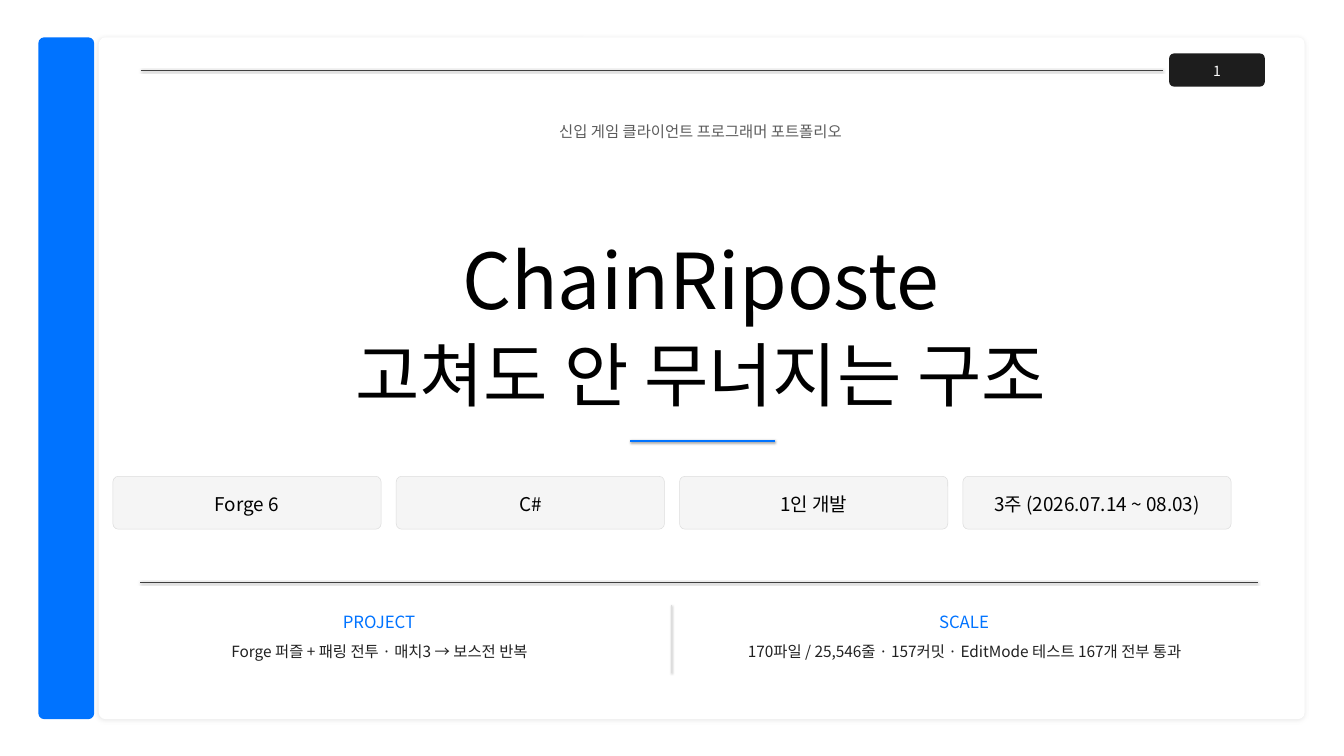
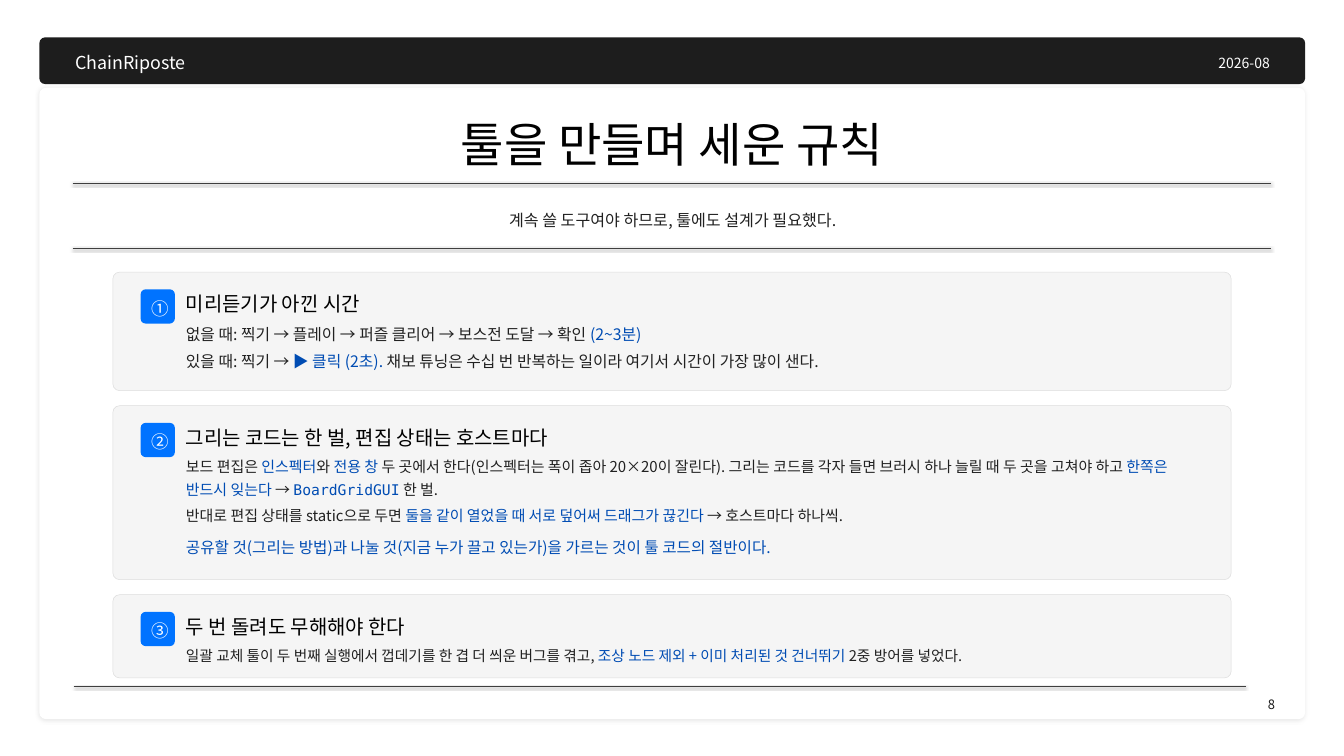
import pptx
import pptx.dml.color
import pptx.enum.shapes
import pptx.enum.text
import pptx.oxml
import pptx.oxml.ns
import pptx.util

RGBColor = pptx.dml.color.RGBColor
ALIGN = pptx.enum.text.PP_ALIGN
ANCHOR = pptx.enum.text.MSO_ANCHOR
WHITE = RGBColor(0xFF, 0xFF, 0xFF)
BLACK = RGBColor(0x00, 0x00, 0x00)
NIGHT = RGBColor(0x1D, 0x1D, 0x1D)
INK = RGBColor(0x21, 0x21, 0x21)
GREY = RGBColor(0x5C, 0x5C, 0x5C)
RULE = RGBColor(0x3F, 0x3F, 0x3F)
EDGE = RGBColor(0xDD, 0xDD, 0xDD)
CARD = RGBColor(0xF5, 0xF5, 0xF5)
BLUE = RGBColor(0x00, 0x73, 0xFF)
DEEP = RGBColor(0x00, 0x4C, 0xB3)
SANS = "Noto Sans CJK KR"
MONO = "DejaVu Sans Mono"
PX = 9144
PANEL_SHADOW = (9, 6, 2)
RULE_SHADOW = (38, 3.1, 1.6)

COVER = {
    "number": "1",
    "kicker": "신입 게임 클라이언트 프로그래머 포트폴리오",
    "name": "ChainRiposte",
    "slogan": "고쳐도 안 무너지는 구조",
    "chips": ["Forge 6", "C#", "1인 개발", "3주 (2026.07.14 ~ 08.03)"],
    "facts": [
        ("PROJECT", "Forge 퍼즐 + 패링 전투 · 매치3 → 보스전 반복"),
        ("SCALE", "170파일 / 25,546줄 · 157커밋 · EditMode 테스트 167개 전부 통과"),
    ],
}

RULES = {
    "project": "ChainRiposte",
    "date": "2026-08",
    "number": "8",
    "title": "툴을 만들며 세운 규칙",
    "lead": "계속 쓸 도구여야 하므로, 툴에도 설계가 필요했다.",
    "cards": [
        {
            "mark": "①", "head": "미리듣기가 아낀 시간",
            "height": 235, "size": 22.6, "after": 5.4,
            "body": [
                ["없을 때: 찍기 → 플레이 → 퍼즐 클리어 → 보스전 도달 → 확인 ",
                 ("(2~3분)", DEEP)],
                ["있을 때: 찍기 → ", ("▶ 클릭 (2초).", DEEP),
                 " 채보 튜닝은 수십 번 반복하는 일이라 여기서 시간이 가장 많이 샌다."],
            ],
        },
        {
            "mark": "②", "head": "그리는 코드는 한 벌, 편집 상태는 호스트마다",
            "height": 345, "size": 21.4, "after": 5.1, "last_before": 6.8,
            "body": [
                ["보드 편집은 ", ("인스펙터", DEEP), "와 ", ("전용 창", DEEP),
                 " 두 곳에서 한다(인스펙터는 폭이 좁아 20×20이 잘린다). "
                 "그리는 코드를 각자 들면 브러시 하나 늘릴 때 두 곳을 고쳐야 하고 ",
                 ("한쪽은 반드시 잊는다", DEEP), " → ",
                 ("BoardGridGUI", DEEP, 21, MONO), " 한 벌."],
                ["반대로 편집 상태를 static으로 두면 ",
                 ("둘을 같이 열었을 때 서로 덮어써 드래그가 끊긴다", DEEP),
                 " → 호스트마다 하나씩."],
                [("공유할 것(그리는 방법)과 나눌 것(지금 누가 끌고 있는가)을 "
                  "가르는 것이 툴 코드의 절반이다.", DEEP, 22.3)],
            ],
        },
        {
            "mark": "③", "head": "두 번 돌려도 무해해야 한다",
            "height": 165, "size": 21, "after": 0,
            "body": [
                ["일괄 교체 툴이 두 번째 실행에서 껍데기를 한 겹 더 씌운 버그를 겪고, ",
                 ("조상 노드 제외 + 이미 처리된 것 건너뛰기", DEEP),
                 " 2중 방어를 넣었다."],
            ],
        },
    ],
}


def px(length):
    return pptx.util.Emu(round(length * PX))


def assign(target, values):
    for name, value in values.items():
        setattr(target, name, value)


def add_shadow(item, opacity, blur, distance):
    props = item.element.spPr
    for empty in props.findall(pptx.oxml.ns.qn("a:effectLst")):
        props.remove(empty)
    props.append(pptx.oxml.parse_xml(
        f'<a:effectLst {pptx.oxml.ns.nsdecls("a")}>'
        f'<a:outerShdw blurRad="{round(blur * 12700)}" dist="{round(distance * 12700)}" '
        f'dir="5400000" rotWithShape="0"><a:srgbClr val="000000">'
        f'<a:alpha val="{opacity * 1000}"/></a:srgbClr></a:outerShdw></a:effectLst>'))


def write(frame, paragraphs, size, color, align=ALIGN.LEFT, spacing=1.22,
          after=0, last_before=0):
    for index, pieces in enumerate(paragraphs):
        paragraph = frame.add_paragraph() if index else frame.paragraphs[0]
        props = paragraph._p.get_or_add_pPr()
        assign_indent = {"marL": "0", "indent": "0"}
        for name, value in assign_indent.items():
            props.set(name, value)
        props.append(pptx.oxml.parse_xml(f'<a:buNone {pptx.oxml.ns.nsdecls("a")}/>'))
        last = index and index == len(paragraphs) - 1
        assign(paragraph, {
            "alignment": align,
            "line_spacing": spacing,
            "space_before": pptx.util.Pt(last_before if last else 0),
            "space_after": pptx.util.Pt(after),
        })
        for piece in pieces:
            defaults = (None, color, size, SANS)
            given = (piece,) if isinstance(piece, str) else piece
            words, tint, points, face = given + defaults[len(given):]
            run = paragraph.add_run()
            run.text = words
            run.font.color.rgb = tint
            assign(run.font, {"size": pptx.util.Pt(points), "bold": False, "name": face})
            run._r.get_or_add_rPr().append(pptx.oxml.parse_xml(
                f'<a:ea {pptx.oxml.ns.nsdecls("a")} typeface="{face}"/>'))


def add_text(slide, box, paragraphs, size, color, holder=None, anchor=ANCHOR.TOP, **style):
    left, top, width, height = map(px, box)
    if holder is None:
        holder = slide.shapes.add_textbox(left, top, width, height)
    else:
        holder.element.getparent().append(holder.element)
        assign(holder, {"left": left, "top": top, "width": width, "height": height})
    if isinstance(paragraphs, str):
        paragraphs = [[paragraphs]]
    assign(holder.text_frame, {
        "margin_left": 0, "margin_right": 0, "margin_top": 0, "margin_bottom": 0,
        "word_wrap": True, "vertical_anchor": anchor,
        "auto_size": pptx.enum.text.MSO_AUTO_SIZE.SHAPE_TO_FIT_TEXT,
    })
    write(holder.text_frame, paragraphs, size, color, **style)


def add_block(slide, box, fill, radius, edge=None, shadow=None, label=None, size=20, color=WHITE):
    block = slide.shapes.add_shape(
        pptx.enum.shapes.MSO_SHAPE.ROUNDED_RECTANGLE, *map(px, box))
    block.adjustments[0] = radius / min(box[2:])
    block.fill.solid()
    block.fill.fore_color.rgb = fill
    block.shadow.inherit = False
    if edge is None:
        block.line.fill.background()
    else:
        block.line.color.rgb = edge
        block.line.width = pptx.util.Pt(0.75)
    if shadow:
        add_shadow(block, *shadow)
    if label:
        assign(block.text_frame, {
            "margin_left": px(18), "margin_right": px(18), "margin_top": 0,
            "margin_bottom": 0, "word_wrap": True, "vertical_anchor": ANCHOR.MIDDLE,
        })
        write(block.text_frame, [[label]], size, color, ALIGN.CENTER, 1.15)


def add_rule(slide, start, end, color=RULE, weight=1.1):
    rule = slide.shapes.add_connector(
        pptx.enum.shapes.MSO_CONNECTOR.STRAIGHT, *map(px, start + end))
    rule.line.color.rgb = color
    rule.line.width = pptx.util.Pt(weight)
    add_shadow(rule, *RULE_SHADOW)


CARD_LEFT, CARD_WIDTH, CARD_GAP = 224, 2219, 30
CENTERED = {"align": ALIGN.CENTER, "anchor": ANCHOR.MIDDLE}


def build_cover(deck):
    slide = deck.slides.add_slide(deck.slide_layouts[0])
    name, slogan = slide.placeholders
    add_block(slide, (76, 74, 111, 1353), BLUE, 12)
    add_block(slide, (196, 74, 2393, 1353), WHITE, 13.5, shadow=PANEL_SHADOW)
    add_rule(slide, (279, 139), (2308, 139))
    add_block(slide, (2320, 106, 190, 66), NIGHT, 10, label=COVER["number"])
    add_text(slide, (460, 235, 1860, 50), COVER["kicker"], 22, GREY, align=ALIGN.CENTER)
    add_text(slide, (440, 418, 1900, 230), COVER["name"], 110, BLACK, name, **CENTERED)
    add_text(slide, (440, 608, 1900, 230), COVER["slogan"], 100, BLACK, slogan, **CENTERED)
    add_rule(slide, (1251, 875), (1538, 875), BLUE, 3)

    chips = COVER["chips"]
    chip_width = (CARD_WIDTH - CARD_GAP * (len(chips) - 1)) / len(chips)
    for index, chip in enumerate(chips):
        left = CARD_LEFT + index * (chip_width + CARD_GAP)
        add_block(slide, (left, 945, chip_width, 105), CARD, 11, EDGE,
                  label=chip, size=27, color=BLACK)

    add_rule(slide, (278, 1155), (2496, 1155))
    add_rule(slide, (1333, 1200), (1333, 1335), EDGE, 1.2)
    for index, (heading, detail) in enumerate(COVER["facts"]):
        left = 265 + index * 1161
        add_text(slide, (left, 1205, 974, 50), heading, 24, BLUE, align=ALIGN.CENTER)
        add_text(slide, (left + 2, 1267, 972, 90), detail, 22, INK, align=ALIGN.CENTER)


def build_rules(deck):
    slide = deck.slides.add_slide(deck.slide_layouts[4])
    title, lead, *bodies = slide.placeholders
    add_block(slide, (78, 174, 2512, 1253), WHITE, 13.5, shadow=PANEL_SHADOW)
    add_block(slide, (78, 74, 2512, 93), NIGHT, 12)
    add_text(slide, (149, 94, 600, 55), RULES["project"], 25.5, WHITE)
    add_text(slide, (1890, 100, 630, 45), RULES["date"], 20, WHITE, align=ALIGN.RIGHT)
    add_rule(slide, (146, 1362), (2472, 1362))
    add_text(slide, (1940, 1375, 590, 45), RULES["number"], 18.5, NIGHT, align=ALIGN.RIGHT)
    add_text(slide, (421, 206, 1825, 135), RULES["title"], 67.5, BLACK, title, **CENTERED)
    add_text(slide, (260, 402, 2150, 62), RULES["lead"], 23, INK, lead, **CENTERED)
    for y in (364, 493):
        add_rule(slide, (144, y), (2523, y), weight=1.25)

    top = 540
    for card, body in zip(RULES["cards"], bodies):
        height = card["height"]
        add_block(slide, (CARD_LEFT, top, CARD_WIDTH, height), CARD, 13, EDGE)
        add_block(slide, (279, top + 34, 68, 68), BLUE, 10, label=card["mark"], size=25)
        add_text(slide, (369, top + 28, 1999, 58), card["head"], 28.5, BLACK)
        add_text(slide, (369, top + 94, 1999, height - 124), card["body"], card["size"], INK,
                 body, spacing=1.26, after=card["after"],
                 last_before=card.get("last_before", 0))
        top += height + CARD_GAP


def main():
    deck = pptx.Presentation()
    assign(deck, {"slide_width": px(2667), "slide_height": px(1500)})
    build_cover(deck)
    build_rules(deck)
    deck.save("out.pptx")


if __name__ == "__main__":
    main()
